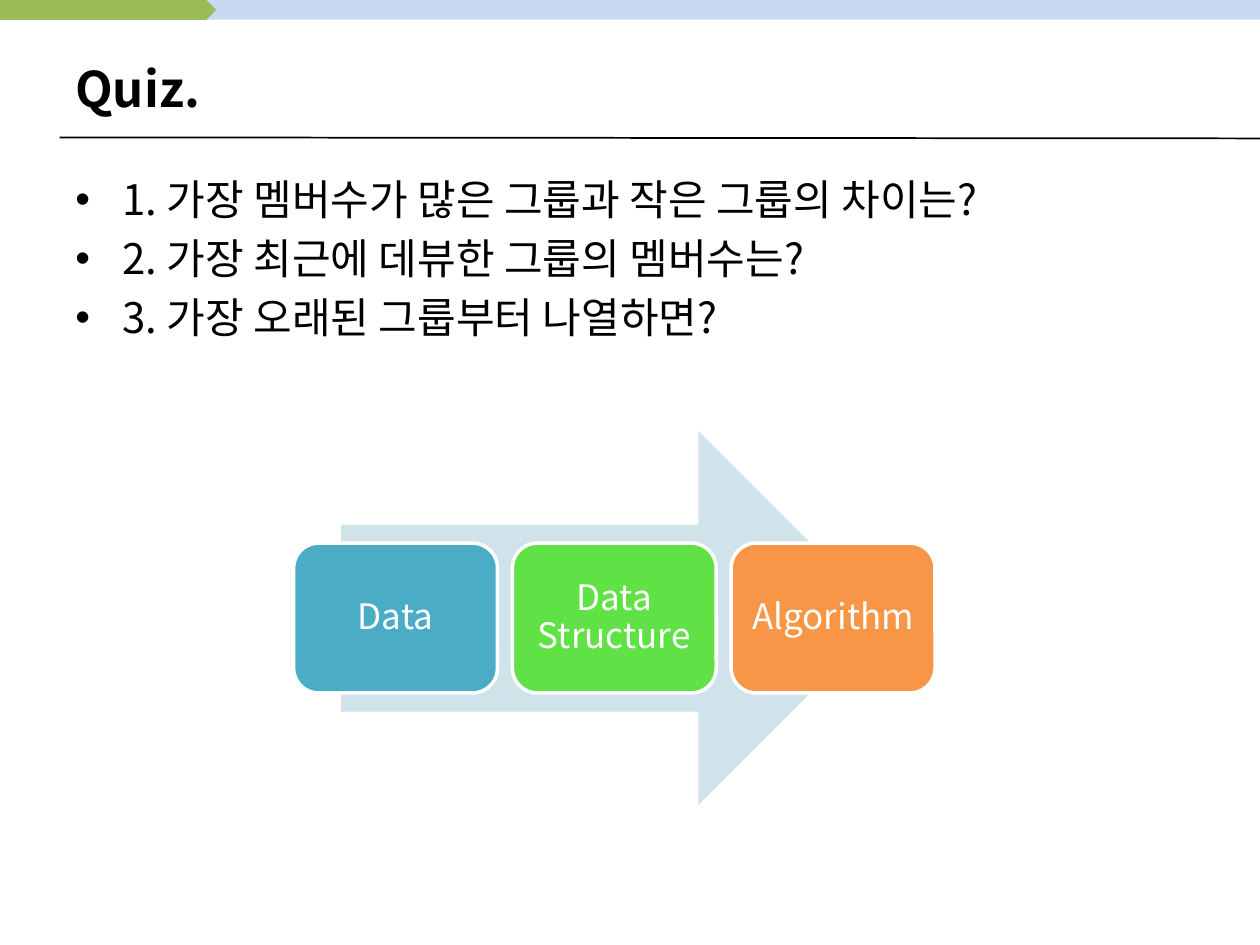
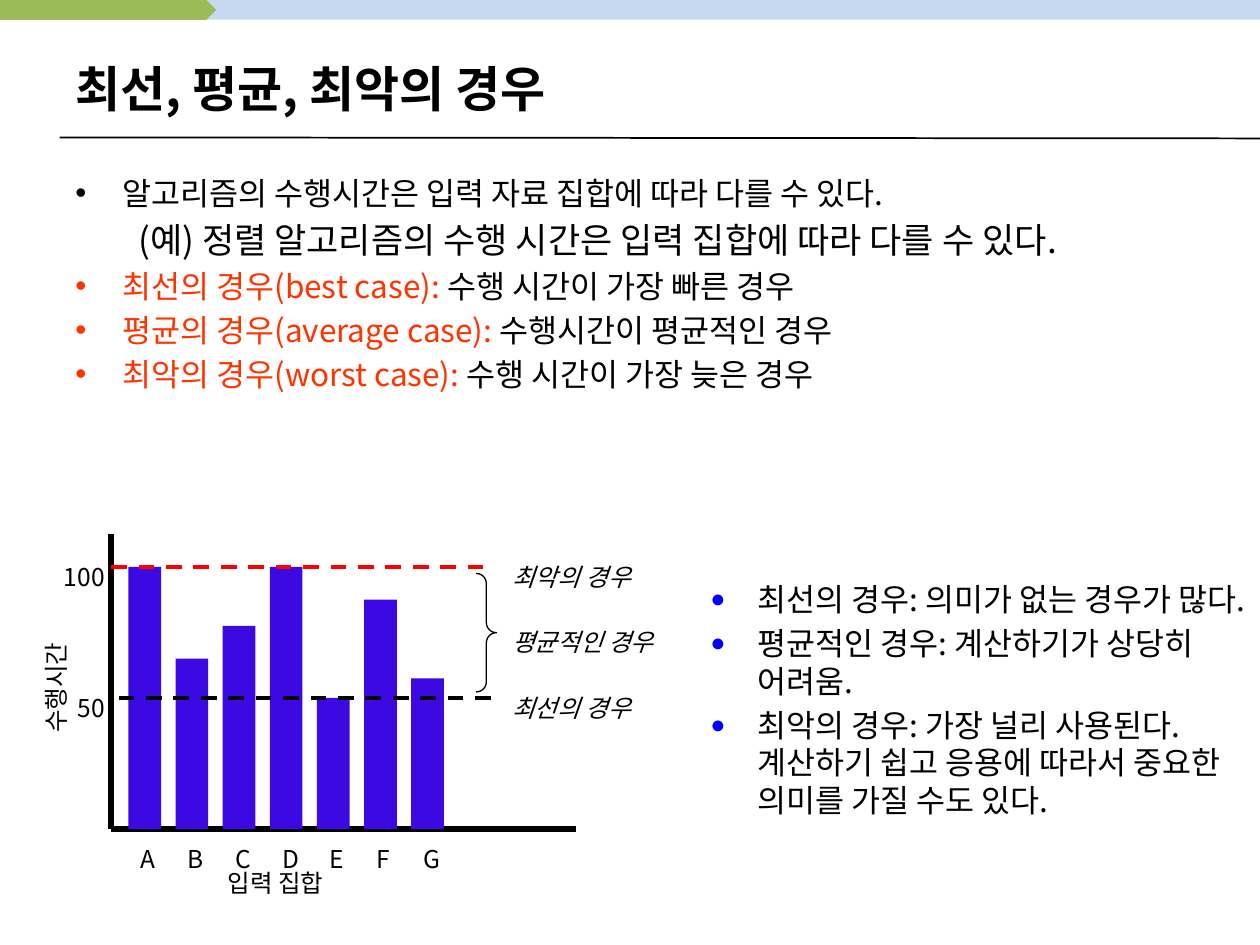
from lxml.etree import SubElement
from pptx import Presentation
from pptx.dml.color import RGBColor
from pptx.enum.dml import MSO_LINE
from pptx.enum.shapes import MSO_CONNECTOR, MSO_SHAPE
from pptx.enum.text import MSO_ANCHOR, PP_ALIGN
from pptx.oxml.ns import qn
from pptx.util import Cm, Pt

FONT = "Noto Sans CJK KR"
COLORS = {
    "band": "C6D9F1", "tab": "9BBB59", "text": "000000", "white": "FFFFFF",
    "arrow": "D0E3EA", "data": "4BACC6", "structure": "60E146", "algorithm": "F79646",
    "case": "FF3300", "bar": "3D09E3", "worst": "FF0000", "bullet": "0000FF",
}
FORMATS = {
    "title": {"size": Pt(28), "bold": True},
    "quiz": {"size": Pt(24)},
    "step": {"size": Pt(20)},
    "body": {"size": Pt(18)},
    "example": {"size": Pt(20)},
    "label": {"size": Pt(14)},
    "case label": {"size": Pt(14), "italic": True},
}

# Paragraphs are lists of (text, color) runs.
QUIZ = [
    [("1. 가장 멤버수가 많은 그룹과 작은 그룹의 차이는?", "text")],
    [("2. 가장 최근에 데뷰한 그룹의 멤버수는?", "text")],
    [("3. 가장 오래된 그룹부터 나열하면?", "text")],
]
STEPS = [("Data", "data"), ("Data Structure", "structure"), ("Algorithm", "algorithm")]

INTRODUCTION = [("알고리즘의 수행시간은 입력 자료 집합에 따라 다를 수 있다.", "text")]
EXAMPLE = [("(예) 정렬 알고리즘의 수행 시간은 입력 집합에 따라 다를 수 있다.", "text")]
CASES = [
    [("최선의 경우(best case): ", "case"), ("수행 시간이 가장 빠른 경우", "text")],
    [("평균의 경우(average case): ", "case"), ("수행시간이 평균적인 경우", "text")],
    [("최악의 경우(worst case): ", "case"), ("수행 시간이 가장 늦은 경우", "text")],
]
REMARKS = [
    [("최선의 경우: 의미가 없는 경우가 많다.", "text")],
    [("평균적인 경우: 계산하기가 상당히 어려움.", "text")],
    [("최악의 경우: 가장 널리 사용된다. 계산하기 쉽고 응용에 따라서 중요한 "
      "의미를 가질 수도 있다.", "text")],
]
RUN_TIMES = {"A": 100, "B": 65, "C": 77.5, "D": 100, "E": 50, "F": 87.5, "G": 57.5}
CASE_LEVELS = [("최악의 경우", 100, 3.15), ("평균적인 경우", 75, 3.63), ("최선의 경우", 50, 3.15)]
TICKS = [("100", 100, 1.04, 1.5), ("50", 50, 1.32, 1.17)]

BODY_BOX = (1.27, 3.38, 22.86, 13.64)
AXIS_LEFT, BASELINE, UNIT_HEIGHT = 2.24, 16.71, 0.0528
BAR_LEFT, BAR_PITCH, BAR_WIDTH = 2.59, 0.95, 0.66
LABEL_HEIGHT, LABEL_RISE = 0.84, 0.23


def rgb(color):
    return RGBColor.from_string(COLORS[color])


def centimetres(box):
    return [Cm(length) for length in box]


def add_block(slide, kind, box, fill=None, line=None, width=0.75):
    shape = slide.shapes.add_shape(kind, *centimetres(box))
    shape.shadow.inherit = False
    if fill:
        shape.fill.solid()
        shape.fill.fore_color.rgb = rgb(fill)
    else:
        shape.fill.background()
    if line:
        shape.line.color.rgb = rgb(line)
        shape.line.width = Pt(width)
    else:
        shape.line.fill.background()
    return shape


def add_line(slide, ends, color, width, dash=None):
    connector = slide.shapes.add_connector(MSO_CONNECTOR.STRAIGHT, *centimetres(ends))
    connector.line.color.rgb = rgb(color)
    connector.line.width = Pt(width)
    connector.line.dash_style = dash
    SubElement(connector._element.spPr, qn("a:effectLst"))


def add_run(paragraph, text, style, color="text"):
    run = paragraph.add_run()
    run.text = text
    for name, value in FORMATS[style].items():
        setattr(run.font, name, value)
    run.font.name = FONT
    run.font.color.rgb = rgb(color)
    SubElement(run._r.get_or_add_rPr(), qn("a:ea"), typeface=FONT)


def add_text_box(slide, box, wrap=True):
    text_box = slide.shapes.add_textbox(*centimetres(box))
    text_box.text_frame.word_wrap = wrap
    return text_box


def add_label(slide, text, box, style="label"):
    label = add_text_box(slide, box, wrap=False)
    add_run(label.text_frame.paragraphs[0], text, style)
    return label


def set_indent(paragraph, left, hanging, bullet=None, bullet_color=None, bullet_percent=100):
    properties = paragraph._p.get_or_add_pPr()
    properties.set("marL", str(Cm(left)))
    properties.set("indent", str(-Cm(hanging)))
    if not bullet:
        SubElement(properties, qn("a:buNone"))
        return
    if bullet_color:
        color = SubElement(properties, qn("a:buClr"))
        SubElement(color, qn("a:srgbClr"), val=COLORS[bullet_color])
    SubElement(properties, qn("a:buSzPct"), val=str(bullet_percent * 1000))
    SubElement(properties, qn("a:buFont"), typeface="Arial")
    SubElement(properties, qn("a:buChar"), char=bullet)


def add_list(slide, box, items):
    """Write (runs, style, indent settings) items, each after a fifth of its text size."""
    frame = add_text_box(slide, box).text_frame
    for index, (runs, style, indent) in enumerate(items):
        paragraph = frame.add_paragraph() if index else frame.paragraphs[0]
        paragraph.space_before = Pt(FORMATS[style]["size"].pt * 0.2)
        set_indent(paragraph, **indent)
        for text, color in runs:
            add_run(paragraph, text, style, color)


BULLET = {"left": 0.95, "hanging": 0.95, "bullet": "•"}
DOT = {**BULLET, "bullet": "●", "bullet_color": "bullet", "bullet_percent": 80}
PLAIN = {"left": 2.06, "hanging": 0.79}


def add_titled_slide(presentation, title):
    slide = presentation.slides.add_slide(presentation.slide_layouts[6])
    add_block(slide, MSO_SHAPE.RECTANGLE, (1.2, 0, 24.2, 0.4), "band")
    add_block(slide, MSO_SHAPE.PENTAGON, (0, 0, 4.36, 0.4), "tab")
    add_line(slide, (1.2, 2.77, 25.4, 2.79), "text", 1)
    frame = add_text_box(slide, (1.27, 0.76, 23.72, 2.01)).text_frame
    frame.vertical_anchor = MSO_ANCHOR.MIDDLE
    add_run(frame.paragraphs[0], title, "title")
    return slide


def add_steps(slide):
    add_block(slide, MSO_SHAPE.RIGHT_ARROW, (6.88, 8.69, 10.97, 7.54), "arrow")
    for index, (text, color) in enumerate(STEPS):
        box = (5.92 + index * 4.41, 10.95, 4.11, 3.02)
        step = add_block(slide, MSO_SHAPE.ROUNDED_RECTANGLE, box, color, "white", 2)
        frame = step.text_frame
        frame.word_wrap = True
        frame.vertical_anchor = MSO_ANCHOR.MIDDLE
        for side in ("left", "top", "right", "bottom"):
            setattr(frame, f"margin_{side}", Cm(0.2))
        paragraph = frame.paragraphs[0]
        paragraph.alignment = PP_ALIGN.CENTER
        paragraph.line_spacing = 0.9
        add_run(paragraph, text, "step", "white")


def level(value):
    """Height on the slide, in centimetres, of a run time."""
    return BASELINE - value * UNIT_HEIGHT


def add_run_time_diagram(slide):
    add_line(slide, (AXIS_LEFT, 10.77, AXIS_LEFT, BASELINE), "text", 3)
    add_line(slide, (AXIS_LEFT, BASELINE, 11.61, BASELINE), "text", 3)
    for index, (name, value) in enumerate(RUN_TIMES.items()):
        left = BAR_LEFT + index * BAR_PITCH
        bar = (left, level(value), BAR_WIDTH, value * UNIT_HEIGHT)
        add_block(slide, MSO_SHAPE.RECTANGLE, bar, "bar")
        add_label(slide, name, (left, 16.89, 0.84, LABEL_HEIGHT))
    add_line(slide, (2.39, level(50), 9.98, level(50)), "text", 2.25, MSO_LINE.DASH)
    add_line(slide, (AXIS_LEFT, level(100), 9.86, level(100)), "worst", 2.25, MSO_LINE.DASH)
    for text, value, width in CASE_LEVELS:
        box = (10.08, level(value) - LABEL_RISE, width, LABEL_HEIGHT)
        add_label(slide, text, box, "case label")
    for text, value, left, width in TICKS:
        add_label(slide, text, (left, level(value) - LABEL_RISE, width, LABEL_HEIGHT))
    add_label(slide, "입력 집합", (4.34, 17.37, 2.64, LABEL_HEIGHT))
    add_label(slide, "수행시간", (-0.13, 13.36, 2.49, LABEL_HEIGHT)).rotation = 270
    brace = add_block(slide, MSO_SHAPE.RIGHT_BRACE, (9.6, 11.56, 0.41, 2.39), line="text")
    brace.adjustments[0] = 0.5


def main():
    presentation = Presentation()
    presentation.slide_width, presentation.slide_height = Cm(25.4), Cm(19.05)

    quiz_slide = add_titled_slide(presentation, "Quiz.")
    add_list(quiz_slide, BODY_BOX, [(runs, "quiz", BULLET) for runs in QUIZ])
    add_steps(quiz_slide)

    cases_slide = add_titled_slide(presentation, "최선, 평균, 최악의 경우")
    add_list(cases_slide, BODY_BOX, [
        (INTRODUCTION, "body", BULLET),
        (EXAMPLE, "example", PLAIN),
        *[(runs, "body", BULLET) for runs in CASES],
    ])
    add_run_time_diagram(cases_slide)
    add_list(cases_slide, (14.07, 11.56, 11.33, 7.49), [(runs, "body", DOT) for runs in REMARKS])

    presentation.save("out.pptx")


if __name__ == "__main__":
    main()
